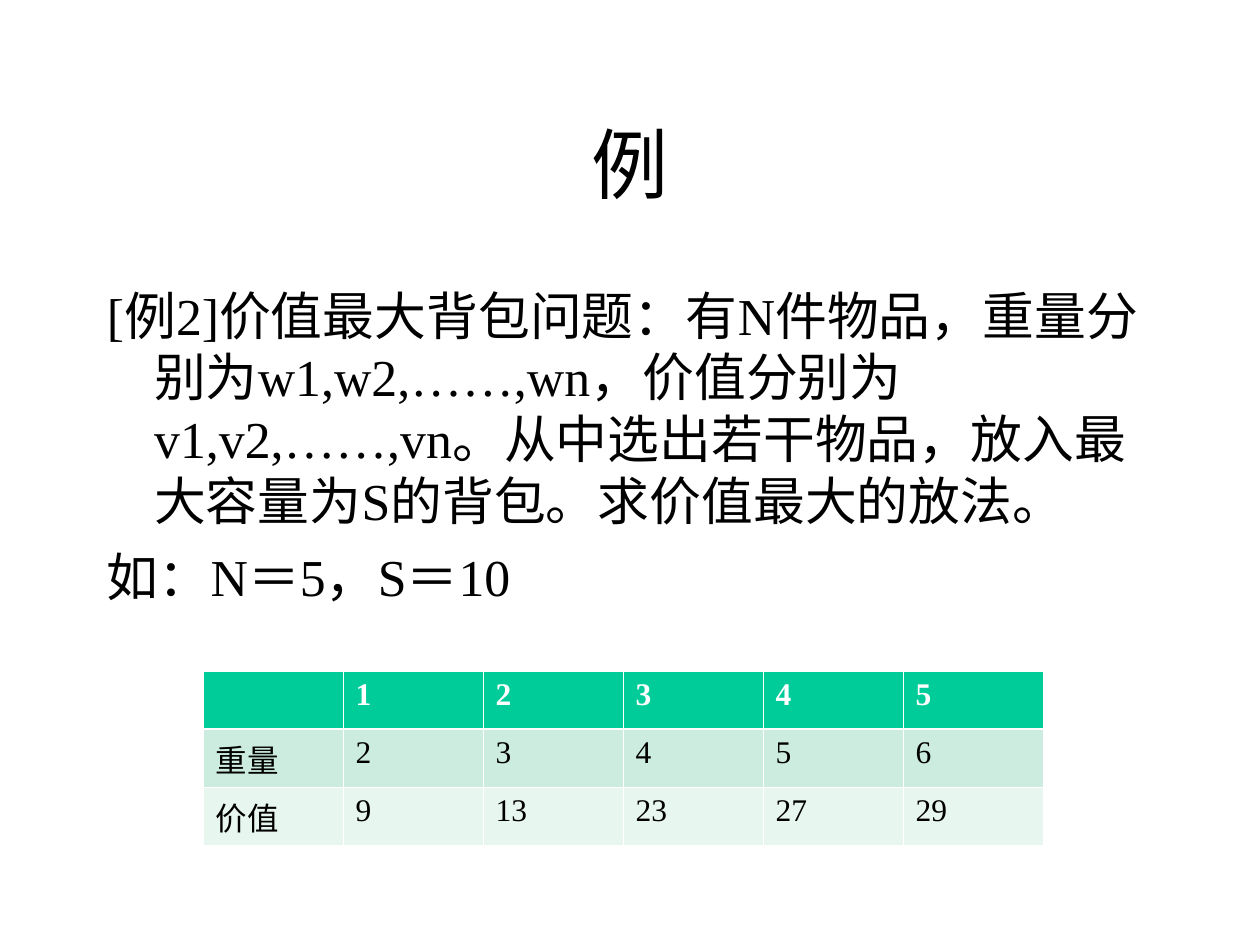
from lxml.etree import SubElement
from pptx import Presentation
from pptx.dml.color import RGBColor
from pptx.enum.text import MSO_ANCHOR, MSO_AUTO_SIZE, PP_ALIGN
from pptx.oxml.ns import qn
from pptx.util import Pt

COLORS = {"text": "000000", "white": "FFFFFF", "header": "00CC99",
          "weight": "CBECDE", "value": "E7F6EF"}
THIN, THICK = 0.45, 1.47


class SlideBuilder:
    font_name = "Times New Roman"

    def __init__(self, prs):
        self.s = prs.slides.add_slide(prs.slide_layouts[5])

    def style(self, p, size, color="text", bold=False):
        for r in p.runs:
            r.font.name = self.font_name
            r.font.size = Pt(size)
            r.font.bold = bold
            r.font.color.rgb = RGBColor.from_string(COLORS[color])

    def title(self, text, left, top, width, height, size):
        sp = self.s.shapes.title
        sp.left, sp.top, sp.width, sp.height = map(Pt, (left, top, width, height))
        tf = sp.text_frame
        tf.text = text
        tf.auto_size = MSO_AUTO_SIZE.NONE
        tf.vertical_anchor = MSO_ANCHOR.MIDDLE
        tf.paragraphs[0].alignment = PP_ALIGN.CENTER
        self.style(tf.paragraphs[0], size)

    def body(self, texts, left, top, width, height, size, hanging):
        sp = self.s.shapes.add_textbox(*map(Pt, (left, top, width, height)))
        tf = sp.text_frame
        tf.word_wrap = True
        tf.margin_top = Pt(6)
        tf.text = "\n".join(texts)
        for i, p in enumerate(tf.paragraphs):
            pPr = p._p.get_or_add_pPr()
            pPr.set("marL", str(Pt(hanging)))
            pPr.set("indent", str(-Pt(hanging)))
            p.line_spacing = Pt(35.4)
            p.space_before = Pt(8 if i else 0)
            self.style(p, size)

    def borders(self, cell, top, bottom):
        tcPr = cell._tc.get_or_add_tcPr()
        sides = {"lnL": THIN, "lnR": THIN, "lnT": top, "lnB": bottom}
        for i, (tag, width) in enumerate(sides.items()):
            ln = SubElement(tcPr, qn(f"a:{tag}"), w=str(Pt(width)))
            fill = SubElement(ln, qn("a:solidFill"))
            SubElement(fill, qn("a:srgbClr"), val=COLORS["white"])
            tcPr.insert(i, ln)

    def table(self, rows, fills, left, top, col_width, row_height, size):
        n_rows, n_cols = len(rows), len(rows[0])
        table = self.s.shapes.add_table(
            n_rows, n_cols, Pt(left), Pt(top),
            Pt(col_width * n_cols), Pt(row_height * n_rows)).table
        for i, (values, fill) in enumerate(zip(rows, fills)):
            header = i == 0
            for j, value in enumerate(values):
                cell = table.cell(i, j)
                cell.text = value
                cell.fill.solid()
                cell.fill.fore_color.rgb = RGBColor.from_string(COLORS[fill])
                self.borders(cell, THICK if i == 1 else THIN,
                             THICK if header else THIN)
                self.style(cell.text_frame.paragraphs[0], size,
                           "white" if header else "text", header)


def main():
    prs = Presentation()
    prs.slide_width, prs.slide_height = Pt(720), Pt(540)
    slide = SlideBuilder(prs)
    slide.title("例", 54, 48, 612, 90, 44)
    slide.body(
        ["[例2]价值最大背包问题：有N件物品，重量分别为w1,w2,……,wn，"
         "价值分别为v1,v2,……,vn。从中选出若干物品，放入最大容量为S的背包。"
         "求价值最大的放法。",
         "如：N＝5，S＝10"],
        54, 156, 612, 210, 29.6, 27)
    slide.table(
        [["", "1", "2", "3", "4", "5"],
         ["重量", "2", "3", "4", "5", "6"],
         ["价值", "9", "13", "23", "27", "29"]],
        ["header", "weight", "value"], 116, 383.5, 80, 33.25, 18)
    prs.save("out.pptx")


if __name__ == "__main__":
    main()
